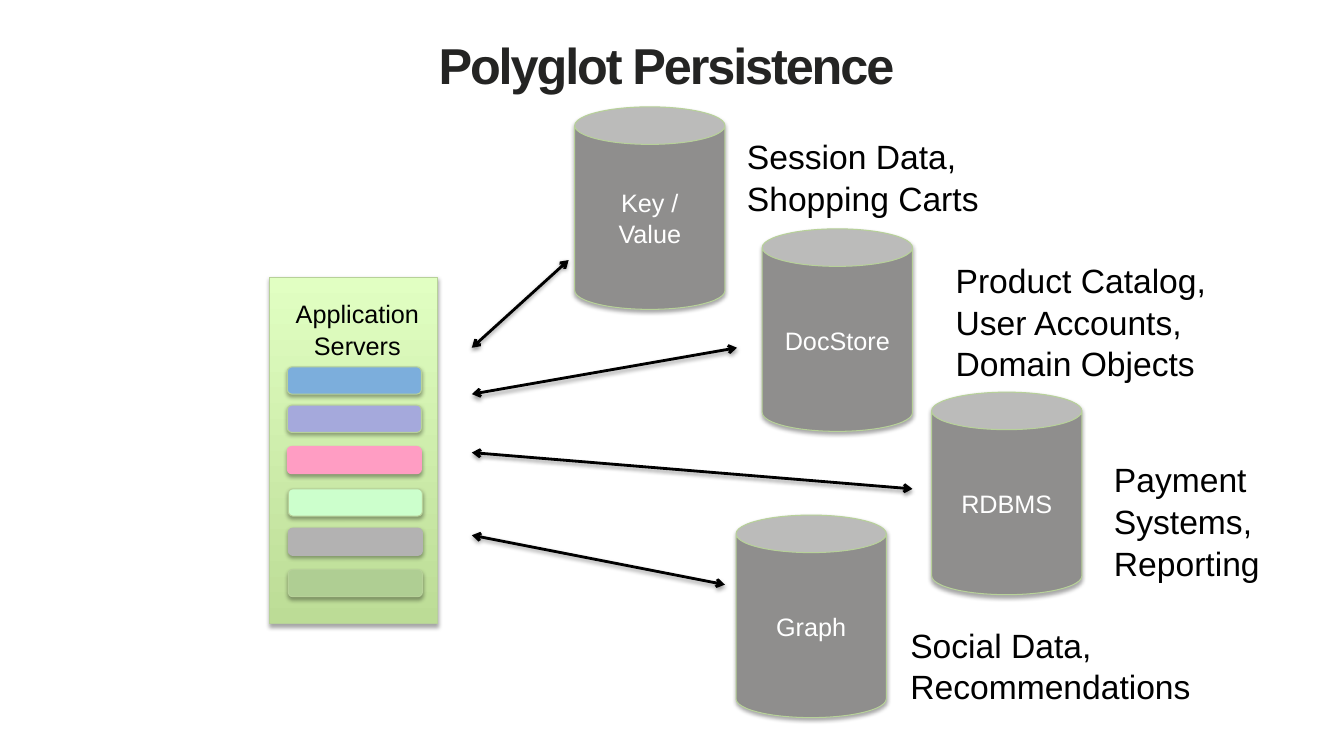
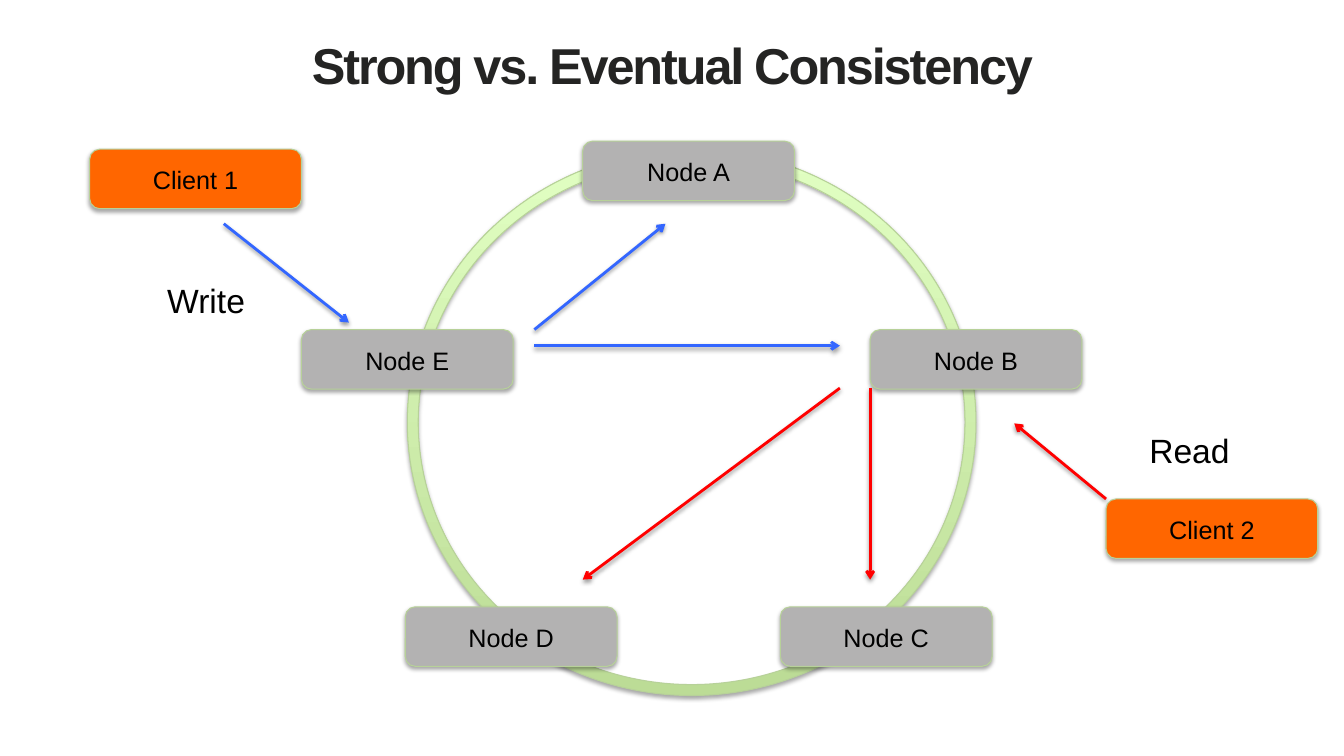
from lxml import etree
from pptx import Presentation
from pptx.dml.color import RGBColor
from pptx.enum.shapes import MSO_CONNECTOR, MSO_SHAPE as SHP
from pptx.enum.text import MSO_ANCHOR, MSO_AUTO_SIZE, PP_ALIGN
from pptx.oxml import parse_xml
from pptx.oxml.ns import nsdecls, qn
from pptx.util import Inches, Pt

BLACK = RGBColor(0x00, 0x00, 0x00)
WHITE = RGBColor(0xFF, 0xFF, 0xFF)
INK = RGBColor(0x24, 0x24, 0x23)
EDGE = RGBColor(0xB7, 0xD1, 0x99)
GREEN_DARK = RGBColor(0xBC, 0xDC, 0x96)
GREEN_LIGHT = RGBColor(0xE1, 0xFF, 0xC2)
SKY = RGBColor(0x7C, 0xAE, 0xDC)
LILAC = RGBColor(0xA5, 0xA9, 0xDC)
PINK = RGBColor(0xFF, 0x9D, 0xC3)
MINT = RGBColor(0xCC, 0xFF, 0xCC)
SILVER = RGBColor(0xB3, 0xB2, 0xB2)
SAGE = RGBColor(0xAF, 0xCE, 0x93)
GRAY = RGBColor(0x8F, 0x8E, 0x8D)
ORANGE = RGBColor(0xFF, 0x66, 0x00)
BLUE = RGBColor(0x33, 0x66, 0xFF)
RED = RGBColor(0xFF, 0x00, 0x00)

TITLE = {"size": Pt(36), "bold": True, "color": INK}
BODY = {"size": Pt(24), "color": BLACK}
LABEL = {"size": Pt(18), "color": BLACK}
CAN_LABEL = {"size": Pt(18), "color": WHITE}
MIDDLE = {"word_wrap": True, "vertical_anchor": MSO_ANCHOR.MIDDLE}
GROW = {"word_wrap": False, "auto_size": MSO_AUTO_SIZE.SHAPE_TO_FIT_TEXT}
WIDE = {"margin_left": Inches(0.13), "margin_right": Inches(0.13),
        "margin_top": Inches(0.07), "margin_bottom": Inches(0.07)}


def write(sp, text, frame, font, align=PP_ALIGN.CENTER, spacing=1.04):
    tf = sp.text_frame
    for name, value in frame.items():
        setattr(tf, name, value)
    for i, line in enumerate(text.split("\n")):
        p = tf.paragraphs[0] if i == 0 else tf.add_paragraph()
        p.alignment, p.line_spacing = align, spacing
        r = p.add_run()
        r.text = line
        r.font.name = "Arial"
        for name, value in font.items():
            if name == "color":
                r.font.color.rgb = value
            else:
                setattr(r.font, name, value)
    return tf


def outline(sp, color, width, alpha, dist):
    sp.line.color.rgb = color
    sp.line.width = Pt(width)
    sp._element.spPr.append(parse_xml(
        f'<a:effectLst {nsdecls("a")}><a:outerShdw blurRad="{Pt(3.1)}" dist="{Pt(dist)}" '
        f'dir="5400000" rotWithShape="0"><a:srgbClr val="000000">'
        f'<a:alpha val="{alpha * 1000}"/></a:srgbClr></a:outerShdw></a:effectLst>'))


prs = Presentation()
prs.slide_width, prs.slide_height = Inches(13.33), Inches(7.5)

slides = []
for title in ("Polyglot Persistence ", "Strong vs. Eventual Consistency"):
    s = prs.slides.add_slide(prs.slide_layouts[6])
    sp = s.shapes.add_textbox(Inches(0.67), Inches(0.01), Inches(12), Inches(1.25))
    tf = write(sp, title, MIDDLE, TITLE, spacing=1)
    tf.paragraphs[0].runs[0]._r.get_or_add_rPr().set("spc", "-150")
    slides.append(s)
stores, ring = slides

panels = [
    (stores, SHP.RECTANGLE, 2.67, 2.75, 1.67, 3.44),
    (ring, SHP.DONUT, 4.04, 1.48, 5.64, 5.42),
]
for s, kind, x, y, w, h in panels:
    sp = s.shapes.add_shape(kind, Inches(x), Inches(y), Inches(w), Inches(h))
    if kind == SHP.DONUT:
        sp.adjustments[0] = 0.02
    sp.fill.gradient()
    sp.fill.gradient_angle = 90
    for stop, color in zip(sp.fill.gradient_stops, (GREEN_DARK, GREEN_LIGHT)):
        stop.color.rgb = color
    outline(sp, EDGE, 0.75, 35, 1.8)

sp = stores.shapes.add_textbox(Inches(2.76), Inches(2.88), Inches(1.57), Inches(0.74))
write(sp, "Application\nServers", GROW | WIDE, LABEL)

servers = [
    (2.85, 3.64, SKY, EDGE),
    (2.85, 4.02, LILAC, EDGE),
    (2.85, 4.43, PINK, PINK),
    (2.86, 4.85, MINT, EDGE),
    (2.86, 5.24, SILVER, SILVER),
    (2.86, 5.65, SAGE, EDGE),
]
for x, y, fill, edge in servers:
    sp = stores.shapes.add_shape(SHP.ROUNDED_RECTANGLE, Inches(x), Inches(y),
                                 Inches(1.33), Inches(0.27))
    sp.fill.solid()
    sp.fill.fore_color.rgb = fill
    outline(sp, edge, 0.75, 35, 1.8)

CAN = (stores, SHP.CAN, 1.49, 2.01, GRAY, MIDDLE | WIDE, CAN_LABEL)
NODE = (ring, SHP.ROUNDED_RECTANGLE, 2.1, 0.59, SILVER, MIDDLE, LABEL)
CLIENT = (ring, SHP.ROUNDED_RECTANGLE, 2.1, 0.59, ORANGE, MIDDLE, LABEL)
boxes = [
    (CAN, "DocStore", 7.56, 2.27),
    (CAN, "RDBMS", 9.24, 3.89),
    (CAN, "Key / Value", 5.7, 1.06),
    (CAN, "Graph", 7.3, 5.11),
    (NODE, "Node A", 5.78, 1.4),
    (NODE, "Node B", 8.63, 3.27),
    (NODE, "Node C", 7.74, 6.02),
    (NODE, "Node E", 2.99, 3.27),
    (NODE, "Node D", 4.02, 6.02),
    (CLIENT, "Client 1", 0.89, 1.48),
    (CLIENT, "Client 2", 10.97, 4.95),
]
for (s, kind, w, h, fill, frame, font), text, x, y in boxes:
    sp = s.shapes.add_shape(kind, Inches(x), Inches(y), Inches(w), Inches(h))
    sp.fill.solid()
    sp.fill.fore_color.rgb = fill
    outline(sp, EDGE, 0.75, 35, 1.8)
    write(sp, text, frame, font)

captions = [
    (stores, "Session Data,\nShopping Carts", 7.31, 1.28, 2.52, 0.91),
    (stores, "Product Catalog,\nUser Accounts,\nDomain Objects", 9.38, 2.51, 2.71, 1.31),
    (stores, "Payment\nSystems,\nReporting", 10.95, 4.49, 1.66, 1.31),
    (stores, "Social Data,\nRecommendations", 8.93, 6.13, 3.01, 0.91),
    (ring, "Write", 1.56, 2.71, 0.98, 0.5),
    (ring, "Read", 11.3, 4.2, 1.01, 0.5),
]
for s, text, x, y, w, h in captions:
    sp = s.shapes.add_textbox(Inches(x), Inches(y), Inches(w), Inches(h))
    write(sp, text, GROW, BODY, PP_ALIGN.LEFT)

BOTH, END = ("headEnd", "tailEnd"), ("tailEnd",)
arrows = [
    (stores, BLACK, BOTH, 4.68, 3.91, 7.31, 3.45),
    (stores, BLACK, BOTH, 4.68, 4.49, 9.05, 4.85),
    (stores, BLACK, BOTH, 4.68, 3.45, 5.64, 2.58),
    (stores, BLACK, BOTH, 4.68, 5.31, 7.19, 5.8),
    (ring, BLUE, END, 2.22, 2.22, 3.46, 3.2),
    (ring, RED, END, 10.97, 4.95, 10.06, 4.2),
    (ring, BLUE, END, 5.3, 3.27, 6.6, 2.22),
    (ring, BLUE, END, 5.3, 3.43, 8.33, 3.43),
    (ring, RED, END, 8.63, 3.85, 8.63, 5.75),
    (ring, RED, END, 8.33, 3.85, 5.78, 5.75),
]
for s, color, ends, x1, y1, x2, y2 in arrows:
    sp = s.shapes.add_connector(MSO_CONNECTOR.STRAIGHT, Inches(x1), Inches(y1),
                                Inches(x2), Inches(y2))
    outline(sp, color, 2, 38, 1.6)
    for end in ends:
        etree.SubElement(sp.line._get_or_add_ln(), qn(f"a:{end}"), type="arrow")

prs.save("out.pptx")
